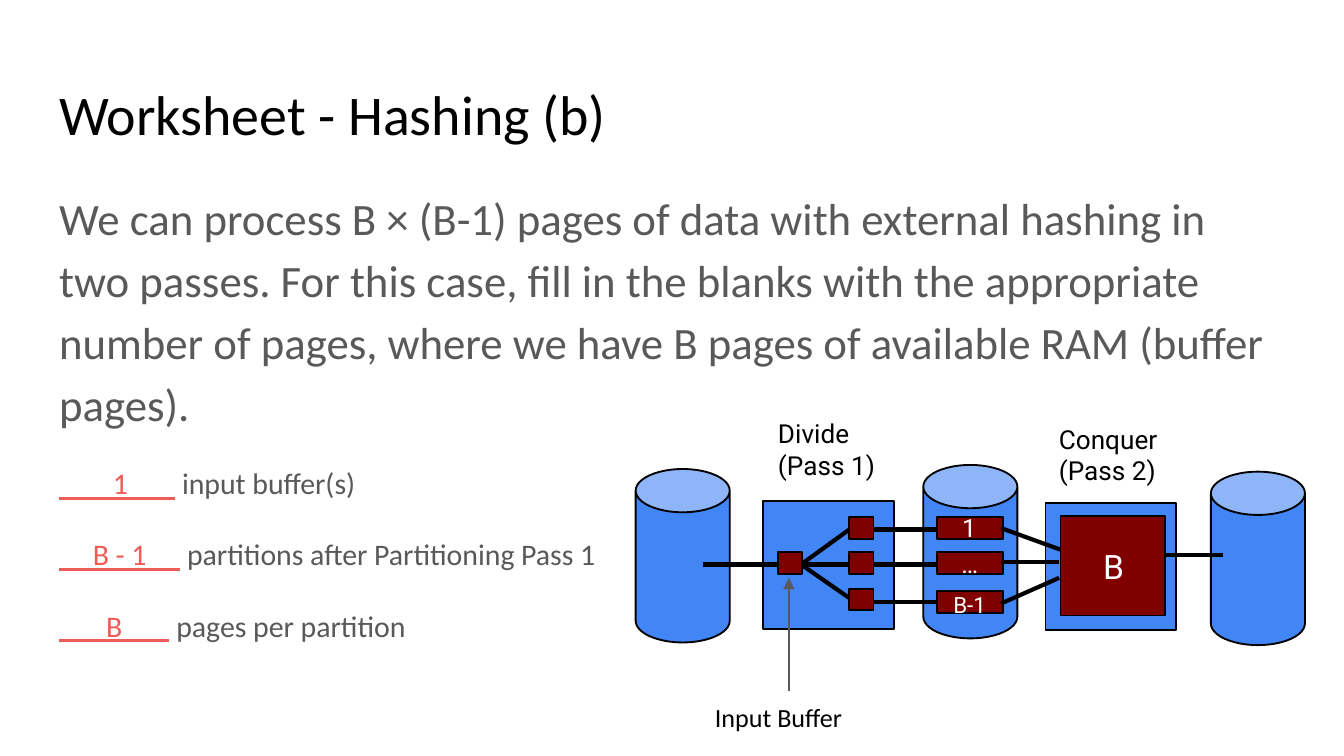
import pptx
import pptx.util
import pptx.dml.color
import pptx.enum.shapes
import pptx.enum.text
import pptx.oxml
import pptx.oxml.ns
import lxml.etree

Inches = pptx.util.Inches
Pt = pptx.util.Pt
RGBColor = pptx.dml.color.RGBColor
MSO_SHAPE = pptx.enum.shapes.MSO_SHAPE
PP_ALIGN = pptx.enum.text.PP_ALIGN
qn = pptx.oxml.ns.qn

BLACK = RGBColor(0x00, 0x00, 0x00)
WHITE = RGBColor(0xFF, 0xFF, 0xFF)
GRAY = RGBColor(0x59, 0x59, 0x59)
CORAL = RGBColor(0xEC, 0x5D, 0x57)
BLUE = RGBColor(0x42, 0x85, 0xF4)
MAROON = RGBColor(0x80, 0x00, 0x00)


def add_run(p, text, size=14, font="Calibri", color=BLACK, underline=False):
    r = p.add_run()
    r.text = text
    r.font.size = Pt(size)
    r.font.name = font
    r.font.color.rgb = color
    r.font.underline = underline


def set_frame(tf, inset_y=0.1):
    tf.word_wrap = True
    tf.auto_size = pptx.enum.text.MSO_AUTO_SIZE.NONE
    tf.vertical_anchor = pptx.enum.text.MSO_ANCHOR.TOP
    tf.margin_left = tf.margin_right = Inches(0.1)
    tf.margin_top = tf.margin_bottom = Inches(inset_y)


def place(sp, x, y, w, h):
    sp.left, sp.top, sp.width, sp.height = (Inches(v) for v in (x, y, w, h))


def add_label(slide, text, x, y, w, h, inset_y=0.05, align=PP_ALIGN.LEFT, **fmt):
    sp = slide.shapes.add_textbox(Inches(x), Inches(y), Inches(w), Inches(h))
    tf = sp.text_frame
    set_frame(tf, inset_y)
    for i, line in enumerate(text.split("\n")):
        p = tf.add_paragraph() if i else tf.paragraphs[0]
        p.alignment = align
        add_run(p, line, **fmt)


def add_block(slide, kind, x, y, w, h, fill):
    sp = slide.shapes.add_shape(kind, Inches(x), Inches(y), Inches(w), Inches(h))
    sp.shadow.inherit = False
    sp.fill.solid()
    sp.fill.fore_color.rgb = fill
    sp.line.color.rgb = BLACK
    sp.line.width = Pt(1)
    return sp


def add_line(slide, x1, y1, x2, y2, color=BLACK, width=2.25, arrow=False):
    ln = slide.shapes.add_connector(
        pptx.enum.shapes.MSO_CONNECTOR.STRAIGHT,
        Inches(x1), Inches(y1), Inches(x2), Inches(y2))
    ln.line.color.rgb = color
    ln.line.width = Pt(width)
    if arrow:
        outline = ln._element.spPr.find(qn("a:ln"))
        lxml.etree.SubElement(outline, qn("a:tailEnd"), type="triangle")
    lxml.etree.SubElement(ln._element.spPr, qn("a:effectLst"))


def format_body_paragraph(p, before=0):
    p.alignment = PP_ALIGN.LEFT
    p.line_spacing = 1.15
    p.space_before = Pt(before)
    pPr = p._p.get_or_add_pPr()
    pPr.set("marL", "0")
    pPr.set("indent", "0")
    lxml.etree.SubElement(pPr, qn("a:buNone"))


def add_title(slide):
    sp = slide.shapes.title
    place(sp, 0.34, 0.49, 9.32, 0.63)
    set_frame(sp.text_frame)
    p = sp.text_frame.paragraphs[0]
    p.alignment = PP_ALIGN.LEFT
    add_run(p, "Worksheet - Hashing (b)", size=30)


def add_body(slide):
    sp = slide.placeholders[1]
    place(sp, 0.34, 1.26, 9.21, 4.01)
    tf = sp.text_frame
    set_frame(tf)
    p = tf.paragraphs[0]
    format_body_paragraph(p)
    add_run(p, "We can process B × (B-1) pages of data with external hashing in two "
               "passes. For this case, fill in the blanks with the appropriate number "
               "of pages, where we have B pages of available RAM (buffer pages).",
            size=24, color=GRAY)

    # Fill-in lines: answer, underlined blank before and after it, label
    for answer, before, after, label in (
            ("1", 8, 7, "input buffer(s)"),
            ("B - 1", 5, 5, "partitions after Partitioning Pass 1"),
            ("B", 7, 7, "pages per partition")):
        p = tf.add_paragraph()
        format_body_paragraph(p, before=16)
        add_run(p, " " * before + answer + " " * after,
                size=16, color=CORAL, underline=True)
        add_run(p, f" {label}", size=16, color=GRAY)


def add_diagram(slide):
    # Disks and the memory of each pass
    for x, y in ((4.73, 3.49), (9.01, 3.51), (6.87, 3.46)):
        add_block(slide, MSO_SHAPE.CAN, x, y, 0.7, 1.29, BLUE).adjustments[0] = 0.46
    for x, y in ((5.68, 3.73), (7.78, 3.74)):
        add_block(slide, MSO_SHAPE.RECTANGLE, x, y, 0.97, 0.95, BLUE)

    # Output buffers, partitions and the conquer buffer
    for buffer_y, partition_y in ((3.85, 3.85), (4.11, 4.11), (4.38, 4.4)):
        add_block(slide, MSO_SHAPE.RECTANGLE, 6.32, buffer_y, 0.18, 0.16, MAROON)
        add_block(slide, MSO_SHAPE.RECTANGLE, 6.97, partition_y, 0.49, 0.16, MAROON)
    add_block(slide, MSO_SHAPE.RECTANGLE, 7.89, 3.84, 0.78, 0.74, MAROON)

    # Data flow between the parts
    for ends in ((5.23, 4.2, 5.78, 4.2), (9.1, 4.13, 8.67, 4.13),
                 (7.45, 3.93, 7.89, 4.09), (7.88, 4.18, 7.45, 4.18),
                 (7.88, 4.3, 7.45, 4.49)):
        add_line(slide, *ends)
    for fan_y, row_y in ((3.94, 3.94), (4.2, 4.2), (4.45, 4.48)):
        add_line(slide, 6.32, fan_y, 5.96, 4.2)
        add_line(slide, 6.5, row_y, 6.97, row_y)

    # Input buffer with its pointer
    add_block(slide, MSO_SHAPE.RECTANGLE, 5.79, 4.11, 0.18, 0.16, MAROON)
    add_line(slide, 5.87, 5.14, 5.87, 4.3, color=GRAY, width=0.75, arrow=True)
    add_label(slide, "Input Buffer", 5.22, 5.12, 1.31, 0.44, inset_y=0.1)

    # Pass and buffer labels
    add_label(slide, "Conquer\n(Pass 2)", 7.78, 3.1, 1.11, 0.57, font="Roboto")
    add_label(slide, "Divide\n(Pass 1)", 5.69, 3.06, 0.95, 0.57, font="Roboto")
    for text, x, y, w, h, size in (
            ("1", 6.82, 3.76, 0.78, 0.23, 13.5),
            ("…", 6.89, 4.03, 0.65, 0.23, 13.5),
            ("B-1", 6.89, 4.35, 0.65, 0.23, 12),
            ("B", 8.01, 4.01, 0.55, 0.5, 18)):
        add_label(slide, text, x, y, w, h, align=PP_ALIGN.CENTER,
                  size=size, font="Roboto", color=WHITE)


def main():
    prs = pptx.Presentation()
    # Widescreen, 16:9
    prs.slide_width = Inches(10)
    prs.slide_height = prs.slide_width * 9 // 16
    slide = prs.slides.add_slide(prs.slide_layouts[1])
    add_body(slide)
    add_title(slide)
    add_diagram(slide)
    prs.save("out.pptx")


if __name__ == "__main__":
    main()
